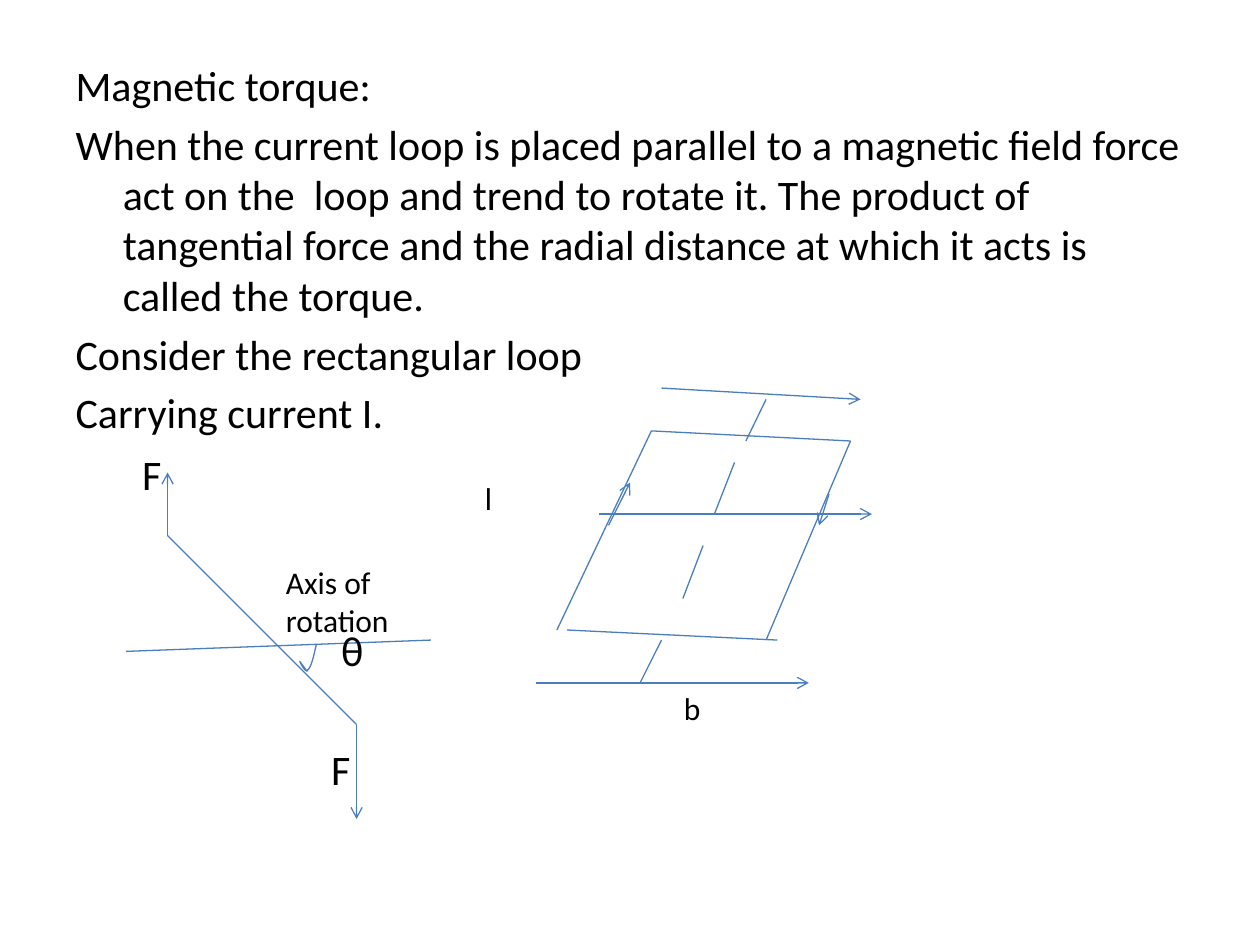
from lxml.etree import SubElement
from pptx import Presentation
from pptx.dml.color import RGBColor
from pptx.enum.shapes import MSO_CONNECTOR
from pptx.enum.text import MSO_AUTO_SIZE
from pptx.oxml.ns import qn
from pptx.util import Inches, Pt

FONT, INK, BLUE = "Calibri", "000000", "4B7EBC"

explanation = [
    "Magnetic torque:",
    "When the current loop is placed parallel to a magnetic field force act on "
    "the  loop and trend to rotate it. The product of  tangential force and the "
    "radial distance at which it acts is called the torque.",
    "Consider the rectangular loop",
    "Carrying current I.",
]

# Lines: start and end points in inches
loop_sides = [
    ((5.17, 3.42), (4.42, 5)), ((5.17, 3.42), (6.75, 3.5)),
    ((6.75, 3.5), (6.08, 5.08)), ((4.5, 5), (6.17, 5.08)),
]
loop_axis = [
    ((6.08, 3.17), (5.92, 3.5)), ((5.83, 3.67), (5.67, 4.08)),
    ((5.58, 4.33), (5.42, 4.75)), ((5.25, 5.08), (5.08, 5.42)),
]
field_arrows = [
    ((5.25, 3.08), (6.83, 3.17)), ((4.75, 4.08), (6.92, 4.08)),
    ((4.25, 5.42), (6.42, 5.42)),
]
current_arrows = [((4.83, 4.17), (5, 3.83)), ((6.58, 3.92), (6.5, 4.17))]
tilted_loop = [((1.33, 4.25), (2.83, 5.75)), ((1, 5.17), (3.42, 5.08))]
force_arrows = [((2.83, 5.75), (2.83, 6.5)), ((1.33, 4.25), (1.33, 3.75))]

# Angle mark: Bezier segments
angle_curves = [
    ((2.51, 5.12), (2.49, 5.21), (2.47, 5.3), (2.44, 5.32)),
    ((2.44, 5.32), (2.42, 5.34), (2.38, 5.25), (2.38, 5.25)),
    ((2.38, 5.25), (2.38, 5.25), (2.41, 5.29), (2.44, 5.33)),
]

# Labels: text, left, top, width, height, size
labels = [
    ("l", 3.75, 3.75, 0.42, 0.4, 18),
    ("b", 5.33, 5.42, 0.25, 0.4, 18),
    ("Axis of rotation", 2.17, 4.42, 1.25, 0.71, 18),
    ("F", 1.03, 3.51, 0.4, 0.5, 24),
    ("θ", 2.61, 4.91, 0.4, 0.5, 24),
    ("F", 2.53, 5.85, 0.4, 0.5, 24),
]


def color(hex_text):
    return RGBColor.from_string(hex_text)


def format_runs(paragraph, size):
    for run in paragraph.runs:
        run.font.name = FONT
        run.font.size = Pt(size)
        run.font.color.rgb = color(INK)


def style_line(line):
    line.color.rgb = color(BLUE)
    line.width = Pt(0.75)


def draw_line(slide, start, end, arrow=False):
    connector = slide.shapes.add_connector(
        MSO_CONNECTOR.STRAIGHT, *map(Inches, start + end))
    style_line(connector.line)
    properties = connector._element.spPr
    if arrow:
        SubElement(properties.find(qn("a:ln")), qn("a:tailEnd"), type="arrow")
    SubElement(properties, qn("a:effectLst"))


def bezier_points(curve, steps=8):
    for step in range(1, steps + 1):
        t = step / steps
        weights = ((1 - t) ** 3, 3 * t * (1 - t) ** 2, 3 * t * t * (1 - t), t ** 3)
        yield tuple(Inches(sum(w * point[axis] for w, point in zip(weights, curve)))
                    for axis in (0, 1))


def main():
    presentation = Presentation()
    presentation.slide_width, presentation.slide_height = Inches(10), Inches(7.5)
    slide = presentation.slides.add_slide(presentation.slide_layouts[1])
    title, body = slide.placeholders
    title._element.getparent().remove(title._element)

    # Explanation
    body.left, body.top, body.width, body.height = map(Inches, (0.5, 0.42, 9, 6.28))
    frame = body.text_frame
    frame.text = "\n".join(explanation)
    frame.auto_size = MSO_AUTO_SIZE.NONE
    for index, paragraph in enumerate(frame.paragraphs):
        SubElement(paragraph._p.get_or_add_pPr(), qn("a:buNone"))
        paragraph.space_before = Pt(4.8 if index else 0)
        format_runs(paragraph, 24)

    # Loop in the field, and its side view
    for start, end in loop_sides + loop_axis + tilted_loop:
        draw_line(slide, start, end)
    for start, end in field_arrows + current_arrows + force_arrows:
        draw_line(slide, start, end, arrow=True)

    # Angle mark
    builder = slide.shapes.build_freeform(*map(Inches, angle_curves[0][0]))
    for curve in angle_curves:
        builder.add_line_segments(bezier_points(curve), close=False)
    angle = builder.convert_to_shape()
    angle.fill.background()
    angle.shadow.inherit = False
    style_line(angle.line)

    # Labels
    for text, left, top, width, height, size in labels:
        label = slide.shapes.add_textbox(*map(Inches, (left, top, width, height)))
        label.text_frame.word_wrap = True
        label.text_frame.text = text
        format_runs(label.text_frame.paragraphs[0], size)

    presentation.save("out.pptx")


if __name__ == "__main__":
    main()
